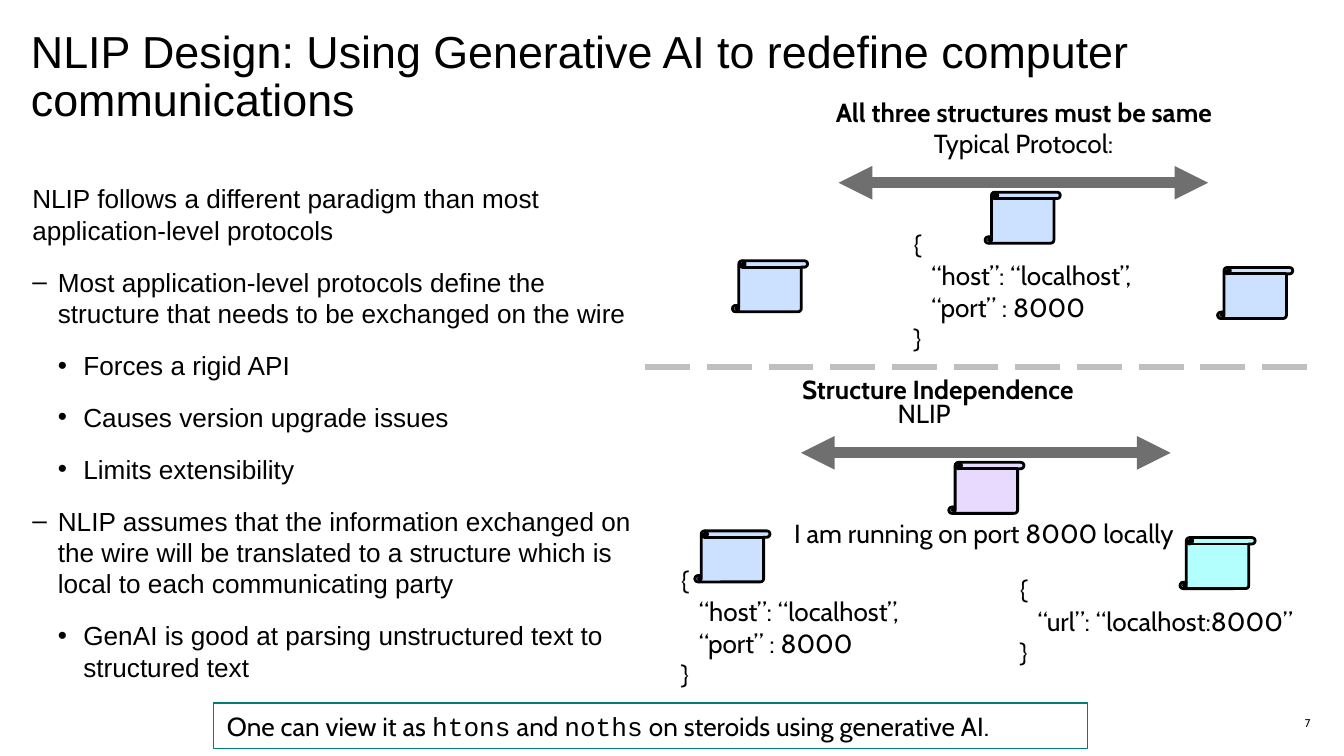
from pptx import Presentation
from pptx.dml.color import RGBColor
from pptx.enum.dml import MSO_LINE
from pptx.enum.shapes import MSO_CONNECTOR, MSO_SHAPE
from pptx.enum.text import MSO_ANCHOR, MSO_AUTO_SIZE, PP_ALIGN
from pptx.oxml.ns import qn
from pptx.util import Emu, Pt
from lxml import etree

PX = 9144  # 100 px to the inch
PAGE_WIDTH = 1000
TITLE_AND_BODY = 1
SCROLL, RECTANGLE = MSO_SHAPE.VERTICAL_SCROLL, MSO_SHAPE.RECTANGLE
STRAIGHT = MSO_CONNECTOR.STRAIGHT
LONG_DASH = MSO_LINE.LONG_DASH
TOP, MIDDLE = MSO_ANCHOR.TOP, MSO_ANCHOR.MIDDLE
LEFT, RIGHT = PP_ALIGN.LEFT, PP_ALIGN.RIGHT
NO_FIT = MSO_AUTO_SIZE.NONE

BLACK, GREY, LIGHT_GREY, TEAL = "000000", "6F6F6F", "BFBFBF", "007D79"
BLUE, AQUA, LILAC = "CCE0FF", "B2FFFD", "E8D9FE"
HEADING, LABEL, CODE = "Arial", "Cabin", "Courier New"

TITLE = "NLIP Design: Using Generative AI to redefine computer communications"
POINTS = [
    (0, "NLIP follows a different paradigm than most application-level protocols"),
    (1, "Most application-level protocols define the structure that needs to be "
        "exchanged on the wire"),
    (2, "Forces a rigid API"),
    (2, "Causes version upgrade issues"),
    (2, "Limits extensibility"),
    (1, "NLIP assumes that the information exchanged on the wire will be translated "
        "to a structure which is local to each communicating party"),
    (2, "GenAI is good at parsing unstructured text to structured text"),
]
BULLETS = {1: "–", 2: "•"}
BULLET_STEP = 19

HOST_PORT = ["{", "   “host”: “localhost”,", "   “port” : 8000", "}"]
URL = ["{", "   “url”: “localhost:8000”", "}"]
# Lines, left, top, width, height, bold
LABELS = [
    (["All three structures must be same"], 612, 67, 332, 34, True),
    (["Typical Protocol:"], 685, 90, 168, 34, False),
    (HOST_PORT, 670, 165, 206, 104, False),
    (["Structure Independence"], 587, 273, 246, 34, True),
    (["NLIP"], 658, 291, 64, 34, False),
    (["I am running on port 8000 locally"], 581, 380, 313, 34, False),
    (HOST_PORT, 497, 415, 206, 104, False),
    (URL, 749, 422, 244, 81, False),
]
# Left, top, fill
SCROLLS = [
    (545, 194, BLUE), (906, 199, BLUE), (733, 143, BLUE),
    (517, 395, BLUE), (878, 400, AQUA), (706, 344, LILAC),
]
EXCHANGES = [(624, 136), (596, 337)]
EXCHANGE_LENGTH = 275
NOTE = [
    ("One can view it as ", LABEL), ("htons", CODE), (" and ", LABEL),
    ("noths", CODE), (" on steroids using generative AI.", LABEL),
]


def px(*lengths):
    return [Emu(length * PX) for length in lengths]


def colour(value):
    return RGBColor.from_string(value)


def apply(target, formats):
    for name, value in formats.items():
        setattr(target, name, value)


def style_font(font, name, size, bold=False):
    apply(font, {"name": name, "size": Pt(size), "bold": bold})
    font.color.rgb = colour(BLACK)


def style_frame(frame, inset=None, **formats):
    apply(frame, formats)
    if inset is not None:
        sides = ("left", "top", "right", "bottom")
        apply(frame, {f"margin_{side}": Emu(inset) for side in sides})


def place(shape, left, top, width, height):
    names = ("left", "top", "width", "height")
    apply(shape, dict(zip(names, px(left, top, width, height))))


def set_bullet(para, level):
    properties = para._p.get_or_add_pPr()
    hanging = BULLET_STEP if level else 0
    properties.set("marL", str(level * BULLET_STEP * PX))
    properties.set("indent", str(-hanging * PX))
    if level:
        etree.SubElement(properties, qn("a:buChar")).set("char", BULLETS[level])
    else:
        etree.SubElement(properties, qn("a:buNone"))


def fill_title(page):
    title = page.shapes.title
    place(title, 23, 22, 952, 88)
    frame = title.text_frame
    frame.text = TITLE
    style_frame(frame, 0, word_wrap=True, auto_size=NO_FIT, vertical_anchor=TOP)
    para = frame.paragraphs[0]
    apply(para, {"alignment": LEFT, "line_spacing": 0.9})
    style_font(para.runs[0].font, HEADING, 24)


def fill_body(page):
    body = page.placeholders[1]
    place(body, 24, 136, 451, 356)
    frame = body.text_frame
    frame.text = "\n".join(text for _, text in POINTS)
    style_frame(frame, 0, word_wrap=True, auto_size=NO_FIT, vertical_anchor=TOP)
    for index, (para, (level, _)) in enumerate(zip(frame.paragraphs, POINTS)):
        set_bullet(para, level)
        apply(para, {"level": level, "alignment": LEFT, "line_spacing": 1.0,
                     "space_before": Pt(11 if index else 0)})
        style_font(para.runs[0].font, HEADING, 14)


def add_label(page, lines, left, top, width, height, bold=False, size=14):
    box = page.shapes.add_textbox(*px(left, top, width, height))
    frame = box.text_frame
    frame.text = "\n".join(lines)
    style_frame(frame, word_wrap=False)
    for para in frame.paragraphs:
        style_font(para.runs[0].font, LABEL, size, bold)
    return frame


def add_page_number(page):
    frame = add_label(page, ["7"], 775, 529, 200, 18, size=6)
    style_frame(frame, 0, word_wrap=True, vertical_anchor=MIDDLE)
    frame.paragraphs[0].alignment = RIGHT


def add_box(page, kind, left, top, width, height, line, weight, fill=None):
    shape = page.shapes.add_shape(kind, *px(left, top, width, height))
    shape.shadow.inherit = False
    if fill:
        shape.fill.solid()
        shape.fill.fore_color.rgb = colour(fill)
    else:
        shape.fill.background()
    shape.line.color.rgb = colour(line)
    shape.line.width = Pt(weight)
    return shape


def add_note(page):
    note = add_box(page, RECTANGLE, 159, 523, 650, 34, TEAL, 0.75)
    style_frame(note.text_frame, word_wrap=True, vertical_anchor=MIDDLE)
    para = note.text_frame.paragraphs[0]
    para.alignment = LEFT
    for text, font in NOTE:
        span = para.add_run()
        span.text = text
        style_font(span.font, font, 14)


def add_line(page, left, top, length, value, weight, dash=None, arrows=False):
    line = page.shapes.add_connector(STRAIGHT, *px(left, top, left + length, top))
    line.line.color.rgb = colour(value)
    line.line.width = Pt(weight)
    if dash:
        line.line.dash_style = dash
    if arrows:
        outline = line.line._get_or_add_ln()
        for end in ("a:headEnd", "a:tailEnd"):
            etree.SubElement(outline, qn(end)).set("type", "triangle")
    etree.SubElement(line._element.spPr, qn("a:effectLst"))


def main():
    deck = Presentation()
    deck.slide_width = Emu(PAGE_WIDTH * PX)
    deck.slide_height = Emu(deck.slide_width * 9 // 16)
    page = deck.slides.add_slide(deck.slide_layouts[TITLE_AND_BODY])

    # Title, list and page number
    fill_title(page)
    fill_body(page)
    add_page_number(page)

    # The two exchanges and their messages
    for left, top in EXCHANGES:
        add_line(page, left, top, EXCHANGE_LENGTH, GREY, 6, arrows=True)
    for left, top, fill in SCROLLS:
        add_box(page, SCROLL, left, top, 56, 38, BLACK, 1.5, fill)
    for label in LABELS:
        add_label(page, *label)

    # Divider and closing note
    add_line(page, 480, 273, 498, LIGHT_GREY, 3, dash=LONG_DASH)
    add_note(page)

    deck.save("out.pptx")


if __name__ == "__main__":
    main()
